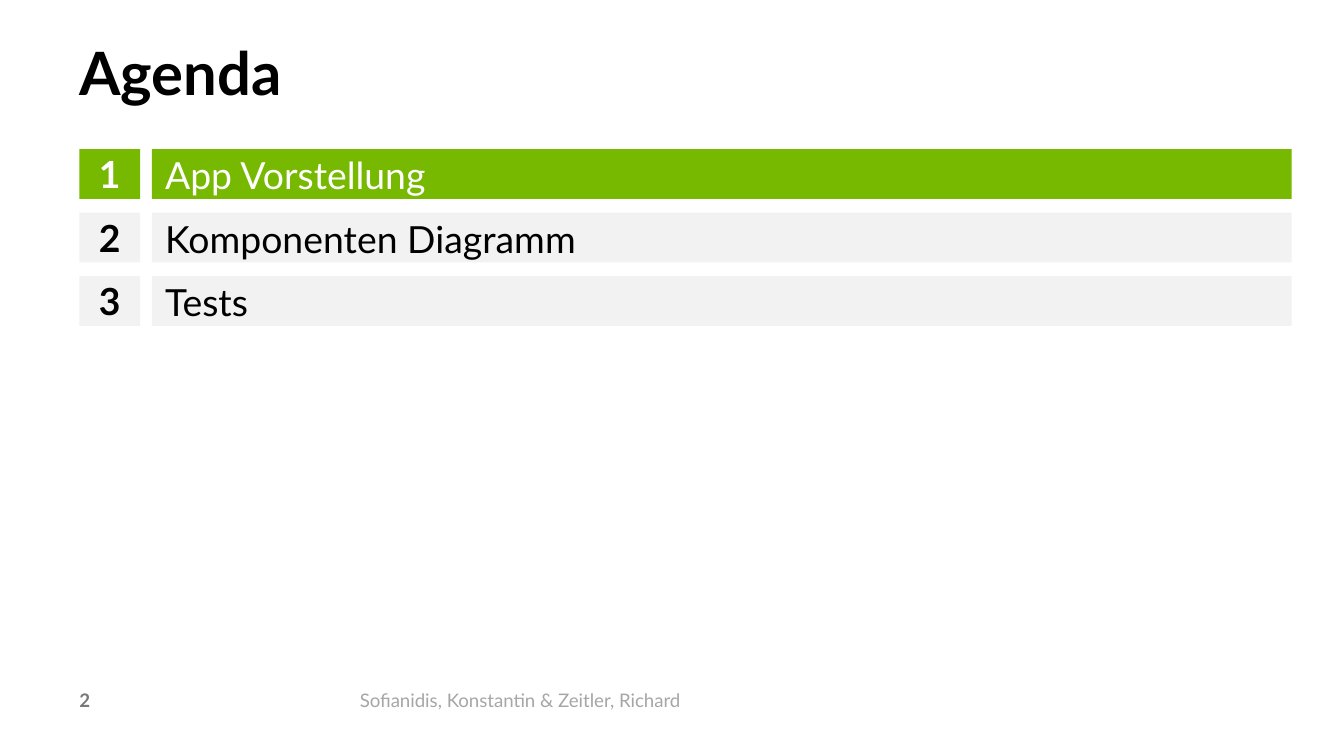
import pptx
import pptx.dml.color
import pptx.enum.shapes
import pptx.enum.text
import pptx.util
from pptx.util import Cm

ALIGN = pptx.enum.text.PP_ALIGN
ANCHOR = pptx.enum.text.MSO_ANCHOR

GREEN, GREY = "76B900", "F2F2F2"
BLACK, WHITE = "000000", "FFFFFF"


def color(value):
    return pptx.dml.color.RGBColor.from_string(value)


class SlideBuilder:
    font_name = "Lato"

    def __init__(self, presentation):
        self.slide = presentation.slides.add_slide(presentation.slide_layouts[5])

    def set_text(self, shape, text, font_color, font, paragraph_format=None,
                 anchor=ANCHOR.TOP, insets=(0, 0)):
        frame = shape.text_frame
        horizontal, vertical = map(Cm, insets)
        frame_format = {
            "word_wrap": True,
            "auto_size": pptx.enum.text.MSO_AUTO_SIZE.NONE,
            "vertical_anchor": anchor,
            "margin_left": horizontal, "margin_right": horizontal,
            "margin_top": vertical, "margin_bottom": vertical,
        }
        paragraph = frame.paragraphs[0]
        paragraph.text = text
        settings = (
            (frame, frame_format),
            (paragraph, {"alignment": ALIGN.LEFT, **(paragraph_format or {})}),
            (paragraph.runs[0].font, {"name": self.font_name, **font}),
        )
        for target, values in settings:
            for name, value in values.items():
                setattr(target, name, value)
        paragraph.runs[0].font.color.rgb = color(font_color)

    def title(self, text, left, top, width, height):
        shape = self.slide.shapes.title
        place = {"left": left, "top": top, "width": width, "height": height}
        for name, value in place.items():
            setattr(shape, name, Cm(value))
        self.set_text(shape, text, BLACK,
                      {"size": pptx.util.Pt(32), "bold": True},
                      {"line_spacing": pptx.util.Pt(34)})

    def bar(self, text, box, fill, font_color, bold, paragraph_format):
        shape = self.slide.shapes.add_shape(
            pptx.enum.shapes.MSO_SHAPE.RECTANGLE, *map(Cm, box))
        shape.shadow.inherit = False
        shape.fill.solid()
        shape.fill.fore_color.rgb = color(fill)
        shape.line.fill.background()
        self.set_text(shape, text, font_color,
                      {"size": pptx.util.Pt(20), "bold": bold},
                      {"space_after": pptx.util.Pt(5.5), **paragraph_format},
                      ANCHOR.MIDDLE, (0.25, 0.13))

    def footer(self, text, left, width, font_color, bold=False):
        shape = self.slide.shapes.add_textbox(
            Cm(left), Cm(13.03), Cm(width), Cm(0.5))
        self.set_text(shape, text, font_color,
                      {"size": pptx.util.Pt(10), "bold": bold})


def main():
    presentation = pptx.Presentation()
    presentation.slide_width = Cm(25.4)
    presentation.slide_height = Cm(14.29)
    builder = SlideBuilder(presentation)
    margin = 1.5

    builder.title("Agenda", margin, 0.84, 20.9, 1.22)

    # Agenda rows, the current topic highlighted
    topics = ["App Vorstellung", "Komponenten Diagramm", "Tests"]
    first_top, row_pitch, row_height = 2.82, 1.2, 0.94
    current = 1
    for number, topic in enumerate(topics, start=1):
        top = first_top + (number - 1) * row_pitch
        colors = (GREEN, WHITE) if number == current else (GREY, BLACK)
        builder.bar(str(number), (margin, top, 1.15, row_height), *colors,
                    True, {"alignment": ALIGN.CENTER})
        builder.bar(topic, (2.87, top, 21.54, row_height), *colors,
                    False, {"line_spacing": pptx.util.Pt(25)})

    # Slide number and authors
    builder.footer("2", margin, 4.8, "787878", bold=True)
    builder.footer("Sofianidis, Konstantin & Zeitler, Richard", 6.8, 15.24, "A6A6A6")

    presentation.save("out.pptx")


if __name__ == "__main__":
    main()
